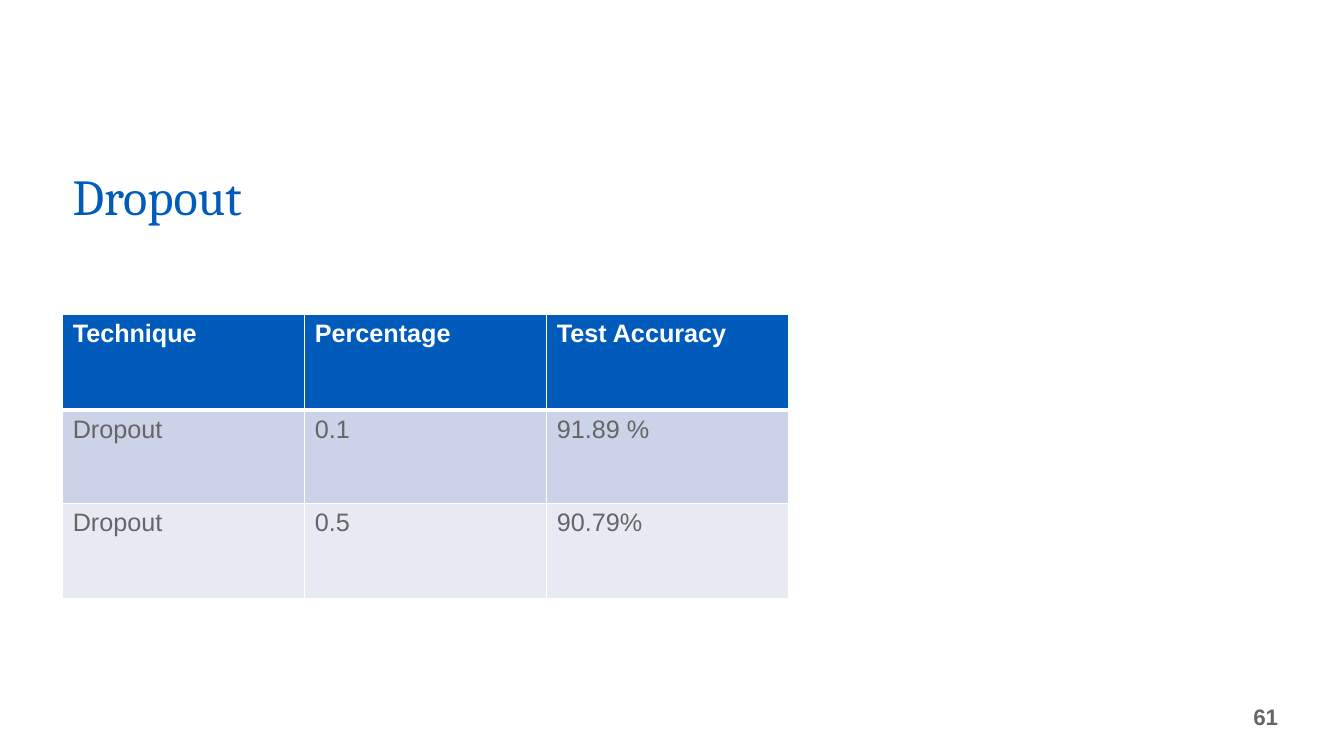
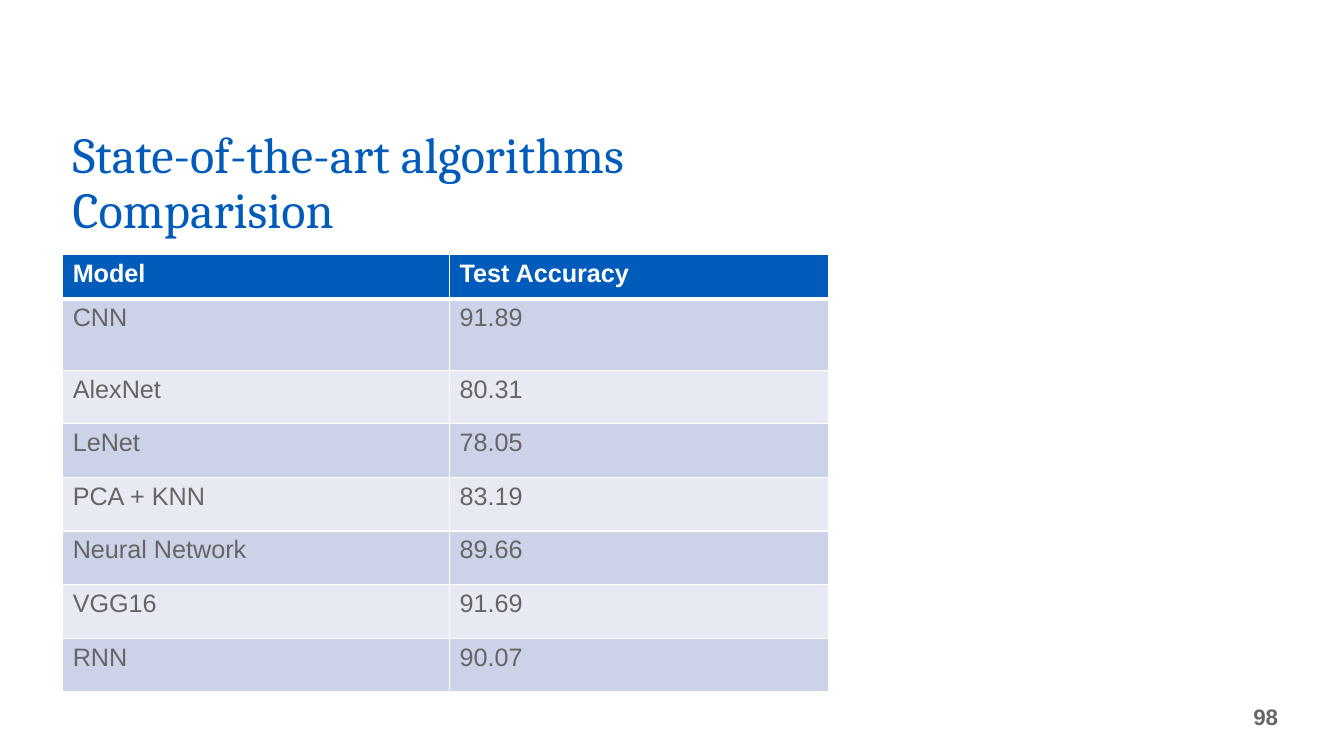
from dataclasses import dataclass

from lxml import etree
from pptx import Presentation
from pptx.dml.color import RGBColor
from pptx.enum.text import MSO_ANCHOR, PP_ALIGN
from pptx.oxml.ns import qn
from pptx.slide import Slide
from pptx.table import _Cell
from pptx.text.text import TextFrame
from pptx.util import Cm, Pt

LEFT, RIGHT = PP_ALIGN.LEFT, PP_ALIGN.RIGHT
TOP, MIDDLE, BOTTOM = MSO_ANCHOR.TOP, MSO_ANCHOR.MIDDLE, MSO_ANCHOR.BOTTOM
BLANK_LAYOUT = 6


@dataclass(frozen=True)
class TextStyle:
    font: str
    size: int
    color: str
    bold: bool = False
    align: PP_ALIGN = LEFT
    anchor: MSO_ANCHOR = TOP
    line_spacing: float = 1.0


@dataclass(frozen=True)
class Theme:
    header_fill: str = "005BBB"
    band_fills: tuple[str, str] = ("CCD2E7", "E7EAF3")
    border: str = "FFFFFF"
    thin_border: int = 1
    thick_border: int = 3
    title: TextStyle = TextStyle("Cambria", 36, "005BBB", anchor=BOTTOM, line_spacing=0.9)
    header: TextStyle = TextStyle("Arial", 18, "FFFFFF", bold=True)
    body: TextStyle = TextStyle("Arial", 18, "666666")
    page_number: TextStyle = TextStyle("Arial", 16, "666666", bold=True, align=RIGHT, anchor=MIDDLE)


@dataclass(frozen=True)
class Box:
    """Position and size in centimetres."""
    left: float
    top: float
    width: float
    height: float


@dataclass(frozen=True)
class ResultSlide:
    title: str
    title_bottom: float
    title_height: float
    table_top: float
    column_widths: list[float]
    row_heights: list[float]
    rows: list[tuple[str, ...]]
    page: int


THEME = Theme()
MARGIN = 1.58
TITLE_WIDTH = 19.3
PAGE_NUMBER_BOX = Box(21.03, 17.55, 11.43, 1.02)

RESULT_SLIDES = [
    ResultSlide(
        title="Dropout",
        title_bottom=5.82,
        title_height=1.65,
        table_top=7.93,
        column_widths=[6.1] * 3,
        row_heights=[2.41, 2.34, 2.41],
        rows=[
            ("Technique", "Percentage", "Test Accuracy"),
            ("Dropout", "0.1", "91.89 %"),
            ("Dropout", "0.5", "90.79%"),
        ],
        page=61,
    ),
    ResultSlide(
        title="State-of-the-art algorithms Comparision",
        title_bottom=6.15,
        title_height=3.07,
        table_top=6.41,
        column_widths=[9.75, 9.55],
        row_heights=[1.12, 1.8] + [1.35] * 6,
        rows=[
            ("Model", "Test Accuracy"),
            ("CNN", "91.89"),
            ("AlexNet", "80.31"),
            ("LeNet", "78.05"),
            ("PCA + KNN", "83.19"),
            ("Neural Network", "89.66"),
            ("VGG16", "91.69"),
            ("RNN", "90.07"),
        ],
        page=98,
    ),
]


# Text
def write_text(text_frame: TextFrame, text: str, style: TextStyle) -> None:
    text_frame.text = text
    text_frame.word_wrap = True
    text_frame.vertical_anchor = style.anchor
    paragraph = text_frame.paragraphs[0]
    paragraph.alignment = style.align
    paragraph.line_spacing = style.line_spacing
    font = paragraph.runs[0].font
    font.name = style.font
    font.size = Pt(style.size)
    font.bold = style.bold
    font.color.rgb = RGBColor.from_string(style.color)


def add_text(slide: Slide, box: Box, text: str, style: TextStyle) -> None:
    shape = slide.shapes.add_textbox(Cm(box.left), Cm(box.top), Cm(box.width), Cm(box.height))
    write_text(shape.text_frame, text, style)


# Table
def set_borders(cell: _Cell, top: int, bottom: int) -> None:
    properties = cell._tc.get_or_add_tcPr()
    widths = {"a:lnL": THEME.thin_border, "a:lnR": THEME.thin_border, "a:lnT": top, "a:lnB": bottom}
    for tag, width in widths.items():
        line = etree.SubElement(properties, qn(tag), w=str(Pt(width)))
        fill = etree.SubElement(line, qn("a:solidFill"))
        etree.SubElement(fill, qn("a:srgbClr"), val=THEME.border)


def add_result_table(slide: Slide, content: ResultSlide) -> None:
    table = slide.shapes.add_table(
        len(content.rows), len(content.column_widths),
        Cm(MARGIN), Cm(content.table_top),
        Cm(sum(content.column_widths)), Cm(sum(content.row_heights)),
    ).table
    table.horz_banding = False
    for column, width in zip(table.columns, content.column_widths):
        column.width = Cm(width)
    for row, height in zip(table.rows, content.row_heights):
        row.height = Cm(height)

    for row_index, values in enumerate(content.rows):
        is_header = row_index == 0
        style = THEME.header if is_header else THEME.body
        fill = THEME.header_fill if is_header else THEME.band_fills[(row_index - 1) % 2]
        top = THEME.thick_border if row_index == 1 else THEME.thin_border
        bottom = THEME.thick_border if is_header else THEME.thin_border
        for column_index, value in enumerate(values):
            cell = table.cell(row_index, column_index)
            set_borders(cell, top, bottom)
            cell.fill.solid()
            cell.fill.fore_color.rgb = RGBColor.from_string(fill)
            write_text(cell.text_frame, value, style)


# Slides
def add_result_slide(presentation: Presentation, content: ResultSlide) -> None:
    slide = presentation.slides.add_slide(presentation.slide_layouts[BLANK_LAYOUT])
    title_top = content.title_bottom - content.title_height
    title_box = Box(MARGIN, title_top, TITLE_WIDTH, content.title_height)
    add_text(slide, title_box, content.title, THEME.title)
    add_result_table(slide, content)
    add_text(slide, PAGE_NUMBER_BOX, str(content.page), THEME.page_number)


def main() -> None:
    presentation = Presentation()
    presentation.slide_width = Cm(33.87)
    presentation.slide_height = Cm(19.05)
    for content in RESULT_SLIDES:
        add_result_slide(presentation, content)
    presentation.save("out.pptx")


if __name__ == "__main__":
    main()
